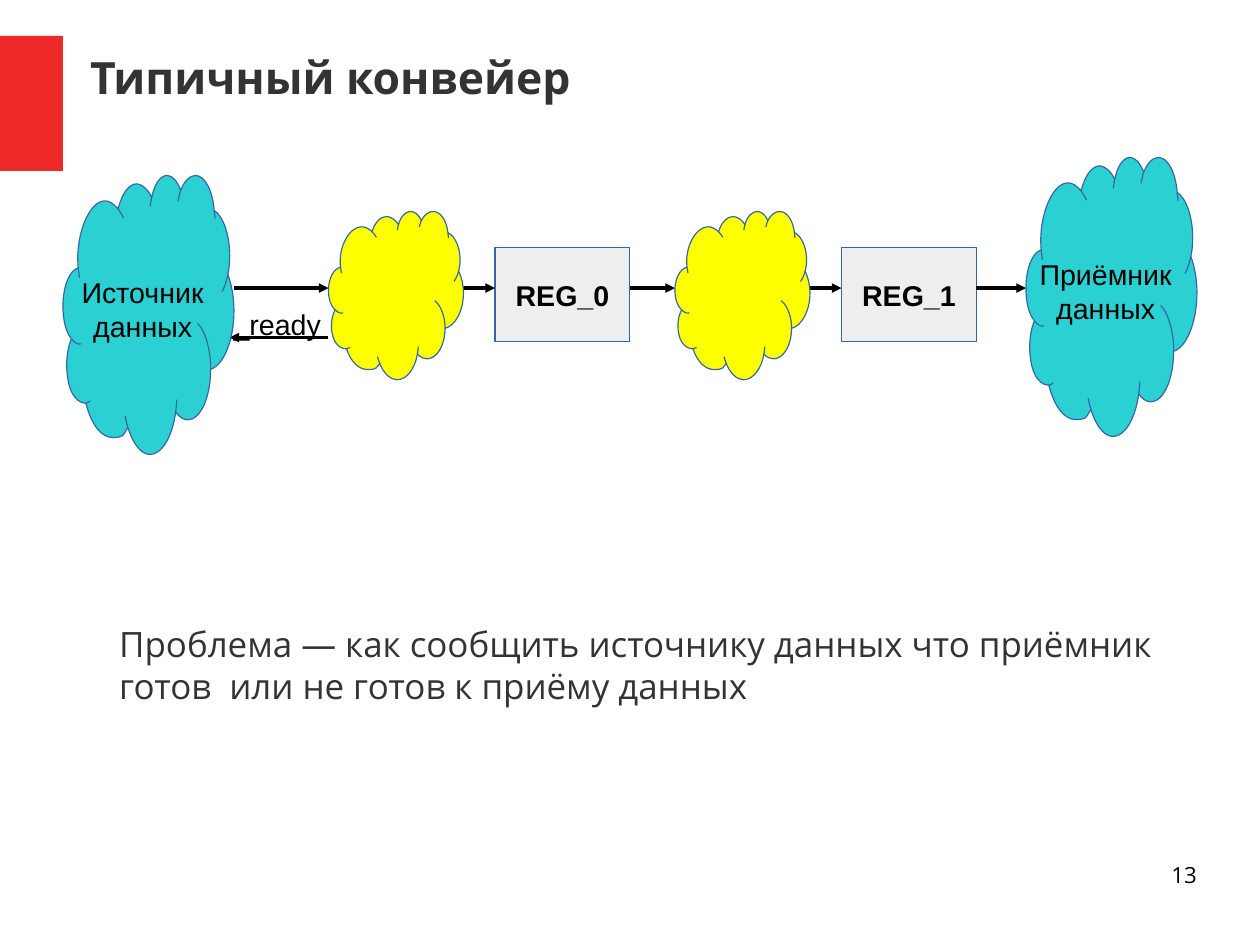
from dataclasses import dataclass
from typing import NamedTuple

from lxml import etree
from pptx import Presentation
from pptx import util as u
from pptx.dml.color import RGBColor
from pptx.enum import shapes, text
from pptx.oxml import ns
from pptx.oxml.xmlchemy import OxmlElement

CELL = u.Cm(1)
COLUMNS, ROWS = 28, 21
CLOUD_UNITS = 2160


@dataclass(frozen=True)
class Theme:
    accent: str = "EF2929"
    heading: str = "333333"
    ink: str = "000000"
    outline: str = "3465A4"
    register: str = "EEEEEE"
    logic: str = "FFFF00"
    endpoint: str = "2BD0D2"
    text_font: str = "Open Sans"
    diagram_font: str = "Arial"
    title_size: int = 28
    body_size: int = 22
    diagram_size: int = 18
    page_size: int = 14


class Area(NamedTuple):
    left: float
    top: float
    width: float
    height: float


@dataclass(frozen=True)
class Style:
    font: str
    size: int
    color: str
    bold: bool = False
    align: text.PP_ALIGN = text.PP_ALIGN.LEFT


@dataclass(frozen=True)
class Cloud:
    area: Area
    fill: str
    lines: tuple[str, ...] = ()


class Arrow(NamedTuple):
    start: float
    end: float
    row: float


THEME = Theme()
TITLE = Style(THEME.text_font, THEME.title_size, THEME.heading, bold=True)
BODY = Style(THEME.text_font, THEME.body_size, THEME.heading)
PAGE = Style(THEME.text_font, THEME.page_size, THEME.ink, align=text.PP_ALIGN.RIGHT)
SIGNAL = Style(THEME.diagram_font, THEME.diagram_size, THEME.ink)
ENDPOINT = Style(THEME.diagram_font, THEME.diagram_size, THEME.ink, align=text.PP_ALIGN.CENTER)
REGISTER = Style(THEME.diagram_font, THEME.diagram_size, THEME.ink, True, text.PP_ALIGN.CENTER)

PUFFS = """193 716 153 449 340 197 527 197 586 195 647 221 697 260 \
745 139 834 65 934 65 1000 69 1071 105 1121 170 \
1157 63 1233 0 1315 0 1384 0 1447 46 1487 116 \
1533 44 1602 0 1674 0 1791 0 1890 113 1911 271 \
2024 315 2106 458 2106 622 2106 672 2100 720 2083 766 \
2131 846 2160 945 2160 1046 2160 1275 2031 1468 1865 1501 \
1865 1720 1737 1892 1577 1892 1522 1892 1470 1871 1424 1831 \
1382 2024 1249 2160 1100 2160 989 2160 884 2079 821 1951 \
762 2000 793 2029 624 2029 485 2029 357 1928 290 1764 \
130 1760 48 1630 48 1466 48 1390 69 1321 107 1264 \
38 1216 0 1121 0 1012 0 859 84 733 193 716"""
CREASES = """193 716 195 741 204 769 209 792
697 260 720 279 748 305 767 331
1121 170 1113 191 1108 216 1103 240
1487 116 1472 140 1464 172 1454 201
1911 271 1913 289 1923 329 1919 338
2083 766 2066 817 2043 862 2011 899
1865 1501 1874 1420 1828 1220 1700 1145
1424 1831 1432 1798 1435 1768 1437 1736
821 1951 806 1925 796 1895 786 1864
290 1764 309 1760 328 1754 346 1745
107 1264 140 1290 178 1313 233 1304"""

PITCH = 7.7
STAGES = range(2)
FLOW_ROW = 6.4
STAGE_ARROWS = [Arrow(8.9 + PITCH * i, 11 + PITCH * i, FLOW_ROW) for i in STAGES]
LINK_ARROWS = [
    Arrow(5.2, 7.3, FLOW_ROW),
    Arrow(14, 15, FLOW_ROW),
    Arrow(21.7, 22.8, FLOW_ROW),
    Arrow(7.3, 5.1, 7.5),
]
LOGIC = [Cloud(Area(7.3 + PITCH * i, 4.7, 3, 3.74), THEME.logic) for i in STAGES]
RECEIVER = Cloud(Area(22.8, 3.5, 3.8, 6.2), THEME.endpoint, ("Приёмник", "данных"))
SOURCE = Cloud(Area(1.4, 3.9, 3.8, 6.2), THEME.endpoint, ("Источник", "данных"))


def cells(count: float) -> int:
    return round(count * CELL)


def place(area: Area) -> list[int]:
    return [cells(length) for length in area]


def paint(shape, fill: str, outline: str | None = None) -> None:
    shape.shadow.inherit = False
    shape.fill.solid()
    shape.fill.fore_color.rgb = RGBColor.from_string(fill)
    if outline is None:
        shape.line.fill.background()
    else:
        shape.line.color.rgb = RGBColor.from_string(outline)
        shape.line.width = 0


def write(frame, lines: tuple[str, ...], style: Style, wrap: bool = True,
          margin: float = 0, anchor=text.MSO_ANCHOR.TOP) -> None:
    frame.word_wrap = wrap
    frame.auto_size = text.MSO_AUTO_SIZE.NONE
    frame.vertical_anchor = anchor
    frame.margin_left = frame.margin_right = u.Inches(margin)
    frame.margin_top = frame.margin_bottom = u.Inches(margin / 2)
    for index, line in enumerate(lines):
        paragraph = frame.add_paragraph() if index else frame.paragraphs[0]
        paragraph.alignment = style.align
        run = paragraph.add_run()
        run.text = line
        run.font.name = style.font
        run.font.size = u.Pt(style.size)
        run.font.bold = style.bold
        run.font.color.rgb = RGBColor.from_string(style.color)


def add_text(slide, area: Area, line: str, style: Style, **layout):
    box = slide.shapes.add_textbox(*place(area))
    write(box.text_frame, (line,), style, **layout)
    return box


def add_arrow(slide, arrow: Arrow) -> None:
    row = cells(arrow.row)
    link = slide.shapes.add_connector(
        shapes.MSO_CONNECTOR.STRAIGHT, cells(arrow.start), row, cells(arrow.end), row)
    link.line.color.rgb = RGBColor.from_string(THEME.ink)
    link.line.width = 0
    head = OxmlElement("a:tailEnd")
    head.set("type", "triangle")
    link.line._get_or_add_ln().append(head)
    link._element.spPr.append(OxmlElement("a:effectLst"))


def add_curves(outlines, curves: str, filled: bool) -> None:
    size = str(CLOUD_UNITS)
    contour = etree.SubElement(outlines, ns.qn("a:path"), w=size, h=size)
    if not filled:
        contour.set("fill", "none")
    for curve in curves.splitlines():
        numbers = curve.split()
        knots = list(zip(numbers[::2], numbers[1::2]))
        start = etree.SubElement(contour, ns.qn("a:moveTo"))
        etree.SubElement(start, ns.qn("a:pt"), x=knots[0][0], y=knots[0][1])
        for first in range(1, len(knots), 3):
            bend = etree.SubElement(contour, ns.qn("a:cubicBezTo"))
            for x, y in knots[first:first + 3]:
                etree.SubElement(bend, ns.qn("a:pt"), x=x, y=y)
    if filled:
        etree.SubElement(contour, ns.qn("a:close"))


def add_cloud(slide, cloud: Cloud) -> None:
    left, top, width, height = place(cloud.area)
    builder = slide.shapes.build_freeform(left, top)
    builder.add_line_segments([(left + width, top), (left + width, top + height)])
    shape = builder.convert_to_shape()
    outlines = shape._element.spPr.find(".//" + ns.qn("a:pathLst"))
    outlines.clear()
    add_curves(outlines, PUFFS, filled=True)
    add_curves(outlines, CREASES, filled=False)
    paint(shape, cloud.fill, THEME.outline)
    if cloud.lines:
        frame = shape.text_frame
        write(frame, cloud.lines, ENDPOINT, False, 0.1, text.MSO_ANCHOR.MIDDLE)
        frame.margin_right = u.Inches(0.2)
        frame.margin_bottom = u.Inches(0.15)


def add_register(slide, stage: int) -> None:
    area = Area(11 + PITCH * stage, 5.5, 3, 2.1)
    register = slide.shapes.add_shape(shapes.MSO_SHAPE.RECTANGLE, *place(area))
    paint(register, THEME.register, THEME.outline)
    write(register.text_frame, (f"REG_{stage}",), REGISTER, False, 0.1, text.MSO_ANCHOR.MIDDLE)


def main() -> None:
    deck = Presentation()
    deck.slide_width, deck.slide_height = cells(COLUMNS), cells(ROWS)
    slide = deck.slides.add_slide(deck.slide_layouts[5])

    title = slide.shapes.title
    title.left, title.top, title.width, title.height = place(Area(2, 0.84, 24.6, 1.75))
    write(title.text_frame, ("Типичный конвейер",), TITLE, anchor=text.MSO_ANCHOR.MIDDLE)
    accent = slide.shapes.add_shape(shapes.MSO_SHAPE.RECTANGLE, *place(Area(0, 0.8, 1.4, 3)))
    paint(accent, THEME.accent)

    for arrow in STAGE_ARROWS:
        add_arrow(slide, arrow)
    for stage in STAGES:
        add_register(slide, stage)
        add_cloud(slide, LOGIC[stage])
    for arrow in LINK_ARROWS:
        add_arrow(slide, arrow)
    add_cloud(slide, RECEIVER)
    add_text(slide, Area(4.8, 6.7, 2.6, 0.97), "i_ready", SIGNAL, wrap=False, margin=0.1)
    add_cloud(slide, SOURCE)

    problem = add_text(
        slide, Area(1.45, 13.84, 25.6, 5.4),
        "Проблема — как сообщить источнику данных что приёмник готов  или не готов к приёму данных",
        BODY)
    paragraph = problem.text_frame.paragraphs[0]
    paragraph.space_after = u.Pt(14.1)
    paragraph._p.get_or_add_pPr().set("marL", str(cells(1.2)))
    add_text(slide, Area(20.07, 19.13, 6.53, 1.45), "13", PAGE)
    deck.save("out.pptx")


if __name__ == "__main__":
    main()
